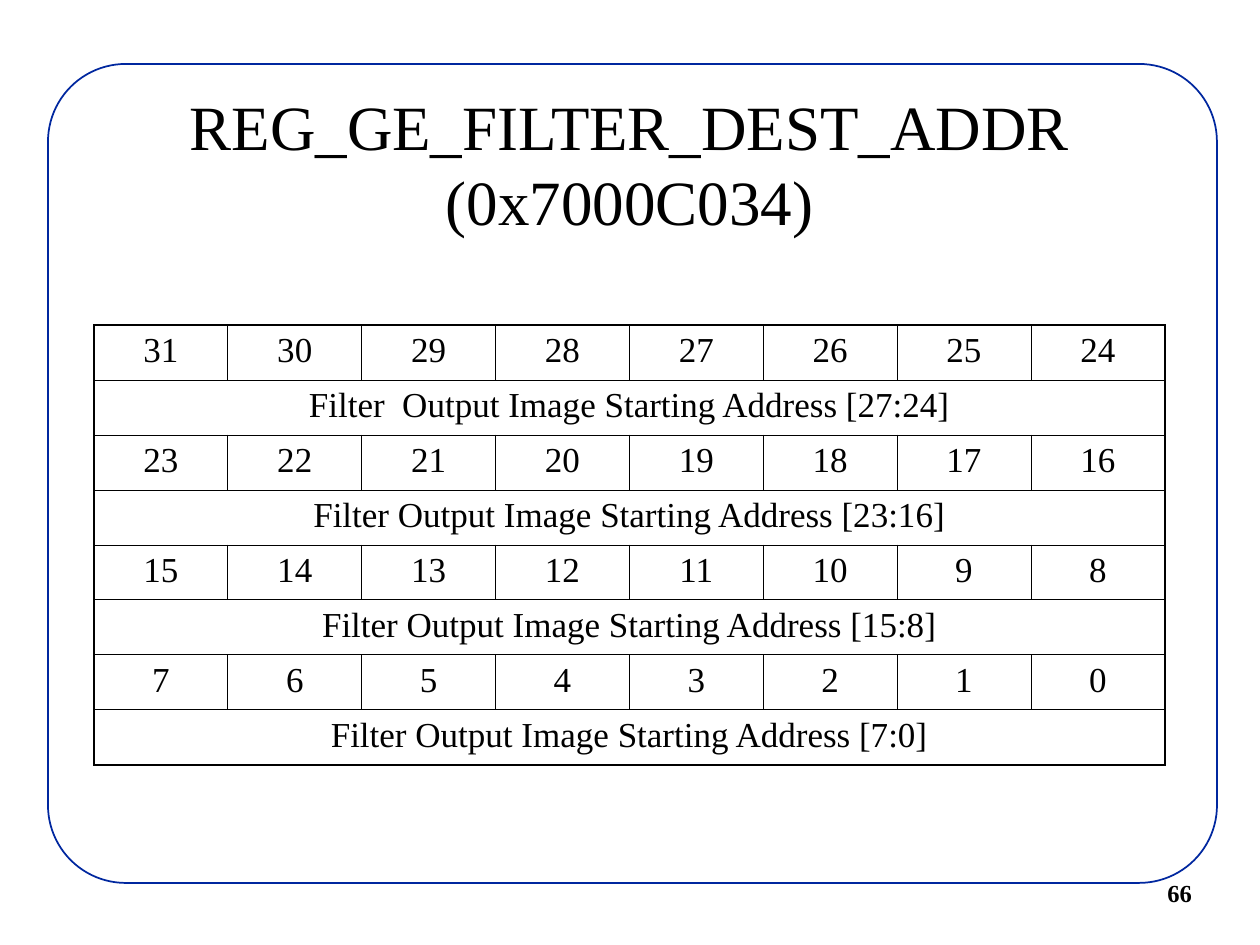
from lxml import etree
from pptx import Presentation
from pptx import util as u
from pptx.dml.color import RGBColor
from pptx.enum import shapes, text
from pptx.oxml.ns import qn

PX = 914400 / 126
FONT = "Times New Roman"
BLACK = RGBColor(0x00, 0x00, 0x00)
WHITE = RGBColor(0xFF, 0xFF, 0xFF)
NAVY = RGBColor(0x00, 0x27, 0x9F)
OUTER, INNER = 1.08, 0.45
BITS = 8
FIELDS = [
    "Filter  Output Image Starting Address [27:24]",
    "Filter Output Image Starting Address [23:16]",
    "Filter Output Image Starting Address [15:8]",
    "Filter Output Image Starting Address [7:0]",
]


def emu(*lengths):
    """Turn px lengths into EMU."""
    return [u.Emu(round(n * PX)) for n in lengths]


def style(p, size, bold=False, align=text.PP_ALIGN.CENTER):
    """Set the font and alignment of a paragraph."""
    p.alignment = align
    p.font.name, p.font.size, p.font.bold = FONT, u.Pt(size), bold
    p.font.color.rgb = BLACK


def add_frame(s, x, y, w, h):
    """Draw the rounded page frame behind the title."""
    sp = s.shapes.add_shape(shapes.MSO_SHAPE.ROUNDED_RECTANGLE, *emu(x, y, w, h))
    sp.adjustments[0] = 0.095
    sp.shadow.inherit = False
    sp.fill.solid()
    sp.fill.fore_color.rgb = WHITE
    sp.line.color.rgb = NAVY
    sp.line.width = u.Pt(1)
    s.shapes.title.element.addprevious(sp.element)


def add_title(s, x, y, w, h):
    """Place the register name and address in the title placeholder."""
    sp = s.shapes.title
    sp.left, sp.top, sp.width, sp.height = emu(x, y, w, h)
    tf = sp.text_frame
    tf.text = "REG_GE_FILTER_DEST_ADDR\v(0x7000C034)"
    tf.auto_size = text.MSO_AUTO_SIZE.NONE
    tf.vertical_anchor = text.MSO_ANCHOR.MIDDLE
    style(tf.paragraphs[0], 36)


def add_page_number(s, x, y, w, h):
    """Write the page number at the lower right."""
    tf = s.shapes.add_textbox(*emu(x, y, w, h)).text_frame
    tf.word_wrap = True
    tf.text = "66"
    style(tf.paragraphs[0], 14, True, text.PP_ALIGN.LEFT)


def set_borders(cell, widths):
    """Give a cell its left, right, top and bottom lines, in points."""
    tcPr = cell._tc.get_or_add_tcPr()
    for i, (side, width) in enumerate(zip("LRTB", widths)):
        ln = etree.Element(qn(f"a:ln{side}"), w=str(u.Pt(width)))
        fill = etree.SubElement(ln, qn("a:solidFill"))
        etree.SubElement(fill, qn("a:srgbClr"), val=str(BLACK))
        tcPr.insert(i, ln)


def fill_cell(cell, words, widths):
    """Write centred text in a clear, bordered cell."""
    cell.fill.background()
    set_borders(cell, widths)
    cell.text = words
    p = cell.text_frame.paragraphs[0]
    p.space_before = u.Pt(0)
    style(p, 20)


def add_register(s, x, y, w, h):
    """Build the register map: a row of bit numbers above each field."""
    rows = 2 * len(FIELDS)
    table = s.shapes.add_table(rows, BITS, *emu(x, y, w, h)).table
    table.first_row = table.horz_banding = False
    for row in table.rows:
        row.height = emu(h / rows)[0]
    for r in range(rows):
        top = OUTER if r == 0 else INNER
        bottom = OUTER if r == rows - 1 else INNER
        if r % 2:
            table.cell(r, 0).merge(table.cell(r, BITS - 1))
            fill_cell(table.cell(r, 0), FIELDS[r // 2], (OUTER, OUTER, top, bottom))
            continue
        first_bit = BITS * (len(FIELDS) - r // 2) - 1
        for c in range(BITS):
            left = OUTER if c == 0 else INNER
            right = OUTER if c == BITS - 1 else INNER
            fill_cell(table.cell(r, c), str(first_bit - c), (left, right, top, bottom))


def main():
    """Build and save the slide."""
    prs = Presentation()
    prs.slide_width, prs.slide_height = emu(1260, 945)
    s = prs.slides.add_slide(prs.slide_layouts[5])
    add_frame(s, 48, 64, 1169, 819)
    add_title(s, 94, 84, 1071, 158)
    add_page_number(s, 1155, 872, 100, 42)
    add_register(s, 94, 325, 1071, 440)
    prs.save("out.pptx")


if __name__ == "__main__":
    main()
